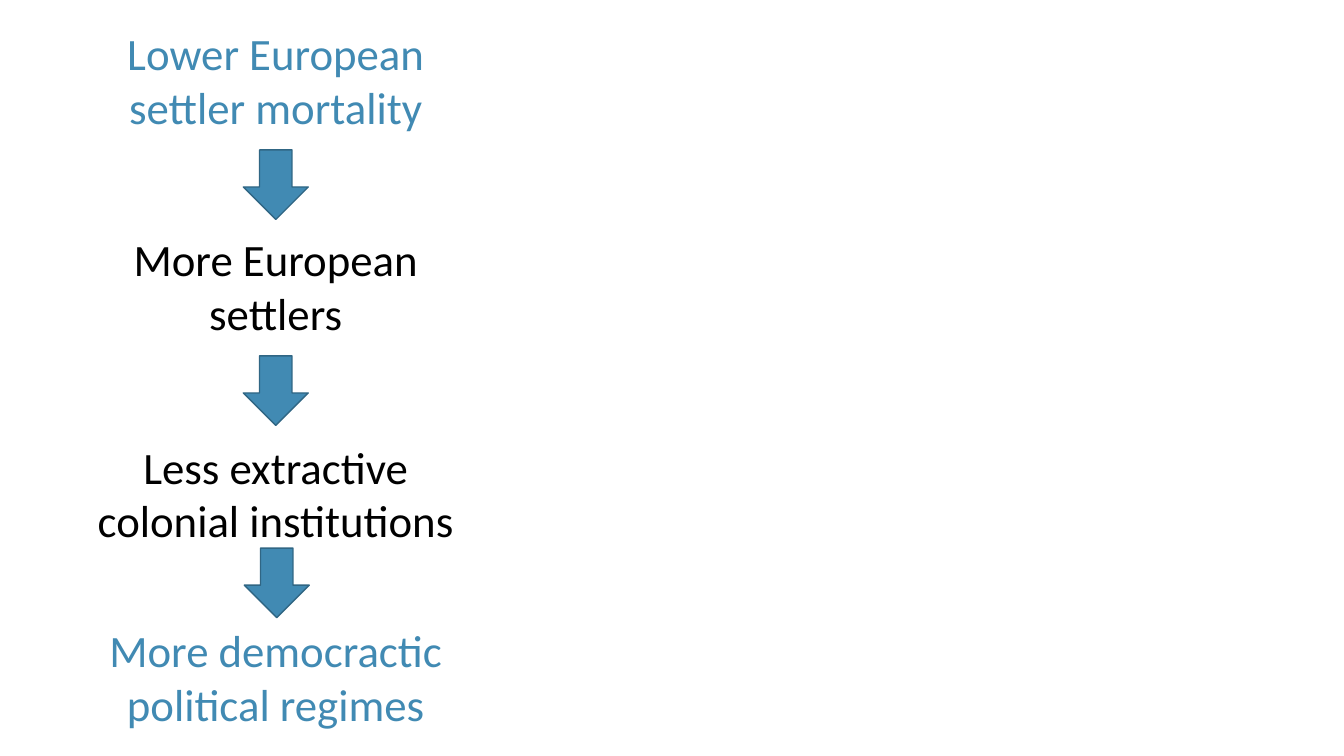
import pptx
import pptx.util
import pptx.dml.color
import pptx.enum.shapes
import pptx.enum.text

Pt = pptx.util.Pt
RGB = pptx.dml.color.RGBColor.from_string

# Content: text, colour role, top, width
steps = [
    ("Lower European settler mortality", "accent", 15.1, 235.4),
    ("More European settlers", "plain", 162, 296),
    ("Less extractive colonial institutions", "plain", 310.3, 296),
    ("More democractic political regimes", "accent", 441.4, 296),
]
# Arrow tops and shifts from the shared axis
arrows = [(107.1, 0), (254.2, 0), (391.5, 0.7)]

theme = {
    "accent": RGB("418AB3"),
    "plain": RGB("000000"),
    "edge": RGB("306684"),
    "font": "Calibri",
    "size": Pt(32),
}
axis = 197
text_h = 85
arrow_w, arrow_h = 46.4, 49.7

deck = pptx.Presentation()
deck.slide_width, deck.slide_height = Pt(960), Pt(540)
slide = deck.slides.add_slide(deck.slide_layouts[6])


def assign(target, values):
    for name, value in values.items():
        setattr(target, name, value)


# Causal steps, centred on one axis
for text, role, top, width in steps:
    box = slide.shapes.add_textbox(
        Pt(axis - width / 2), Pt(top), Pt(width), Pt(text_h))
    frame = box.text_frame
    assign(frame, {
        "word_wrap": True,
        "auto_size": pptx.enum.text.MSO_AUTO_SIZE.SHAPE_TO_FIT_TEXT,
    })
    line = frame.paragraphs[0]
    line.alignment = pptx.enum.text.PP_ALIGN.CENTER
    run = line.add_run()
    run.text = text
    assign(run.font, {"name": theme["font"], "size": theme["size"]})
    run.font.color.rgb = theme[role]

# Arrows between the steps
for top, shift in arrows:
    arrow = slide.shapes.add_shape(
        pptx.enum.shapes.MSO_SHAPE.DOWN_ARROW,
        Pt(axis - arrow_w / 2 + shift), Pt(top), Pt(arrow_w), Pt(arrow_h))
    arrow.shadow.inherit = False
    arrow.fill.solid()
    arrow.fill.fore_color.rgb = theme["accent"]
    arrow.line.color.rgb = theme["edge"]
    arrow.line.width = Pt(1)

deck.save("out.pptx")
